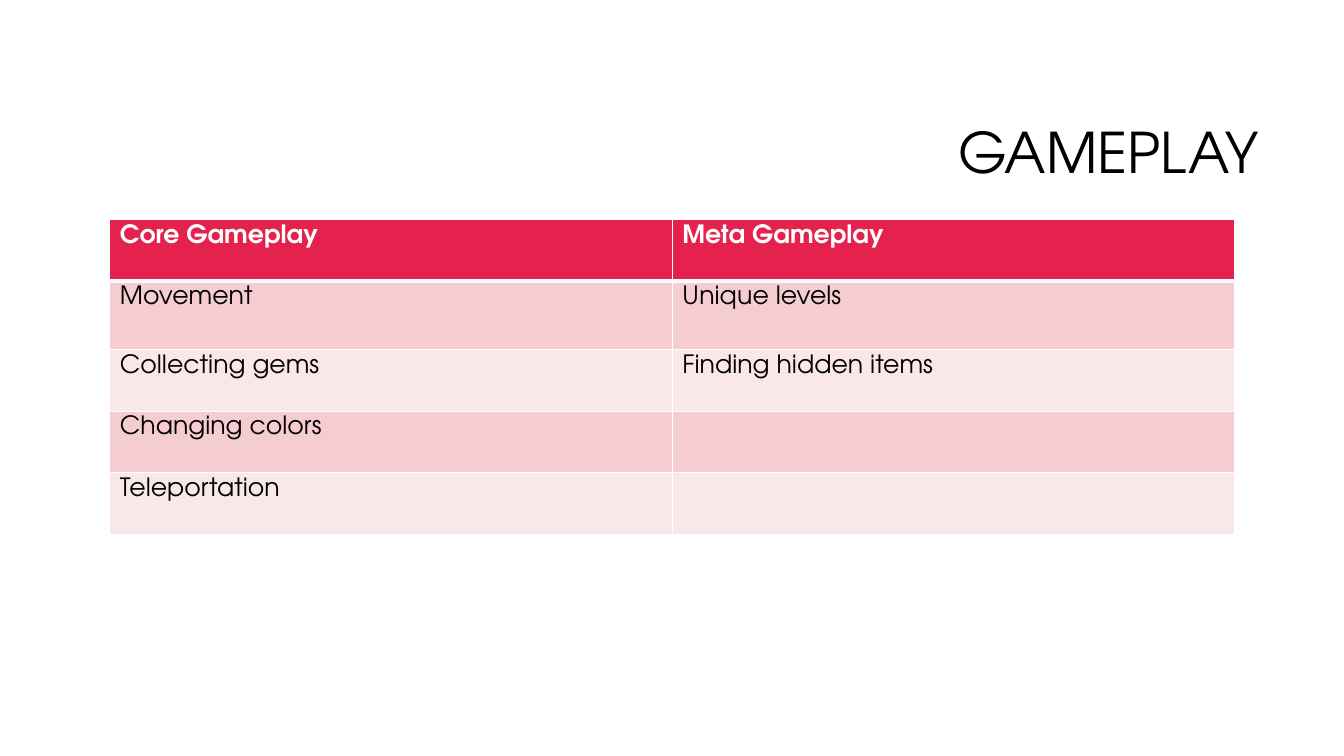
from lxml.etree import SubElement
from pptx import Presentation
from pptx.dml.color import RGBColor
from pptx.enum.text import MSO_ANCHOR, PP_ALIGN
from pptx.oxml.ns import qn
from pptx.util import Pt

FONT = "TeX Gyre Adventor"
COLORS = {
    "header": "E5224E",
    "odd_row": "F5CDD0",
    "even_row": "FAE8E9",
    "white": "FFFFFF",
    "black": "000000",
}
GAMEPLAY = [
    ("Core Gameplay", "Meta Gameplay"),
    ("Movement", "Unique levels"),
    ("Collecting gems", "Finding hidden items"),
    ("Changing colors", ""),
    ("Teleportation", ""),
]
ROW_HEIGHTS = [43.9, 49, 43.9, 43.9, 43.9]
COLUMN_WIDTH = 401.8


def rgb(name):
    return RGBColor.from_string(COLORS[name])


def style_text(paragraph, size, color, bold=False):
    for run in paragraph.runs:
        run.font.name = FONT
        run.font.size = Pt(size)
        run.font.bold = bold
        run.font.color.rgb = rgb(color)


def add_title(slide, wording):
    title = slide.shapes.title
    title.left, title.top = Pt(228.2), Pt(60.5)
    title.width, title.height = Pt(678.2), Pt(101.5)
    frame = title.text_frame
    frame.text = wording
    frame.word_wrap = True
    frame.vertical_anchor = MSO_ANCHOR.MIDDLE
    heading = frame.paragraphs[0]
    heading.alignment = PP_ALIGN.RIGHT
    heading.line_spacing = 0.9
    style_text(heading, 40, "black")


def set_borders(cell, widths):
    properties = cell._tc.get_or_add_tcPr()
    for position, (side, width) in enumerate(widths.items()):
        border = properties.makeelement(qn(f"a:{side}"), {"w": str(Pt(width))})
        fill = SubElement(border, qn("a:solidFill"))
        SubElement(fill, qn("a:srgbClr"), val=COLORS["white"])
        properties.insert(position, border)


def fill_cell(cell, wording, row_number):
    is_header = row_number == 0
    fill_name = "header" if is_header else ("even_row", "odd_row")[row_number % 2]
    cell.fill.solid()
    cell.fill.fore_color.rgb = rgb(fill_name)
    set_borders(cell, {
        "lnL": 1,
        "lnR": 1,
        "lnT": 3 if row_number == 1 else 1,
        "lnB": 3 if is_header else 1,
    })
    cell.text_frame.text = wording
    style_text(cell.text_frame.paragraphs[0], 18,
               "white" if is_header else "black", is_header)


def add_gameplay_table(slide, entries):
    columns = len(entries[0])
    table = slide.shapes.add_table(
        len(entries), columns, Pt(78.5), Pt(157),
        Pt(COLUMN_WIDTH * columns), Pt(sum(ROW_HEIGHTS)),
    ).table
    for column in table.columns:
        column.width = Pt(COLUMN_WIDTH)
    for row_number, wordings in enumerate(entries):
        table.rows[row_number].height = Pt(ROW_HEIGHTS[row_number])
        for column_number, wording in enumerate(wordings):
            fill_cell(table.cell(row_number, column_number), wording, row_number)


def main():
    presentation = Presentation()
    presentation.slide_width, presentation.slide_height = Pt(960), Pt(540)
    slide = presentation.slides.add_slide(presentation.slide_layouts[5])
    add_title(slide, "GAMEPLAY")
    add_gameplay_table(slide, GAMEPLAY)
    presentation.save("out.pptx")


if __name__ == "__main__":
    main()
